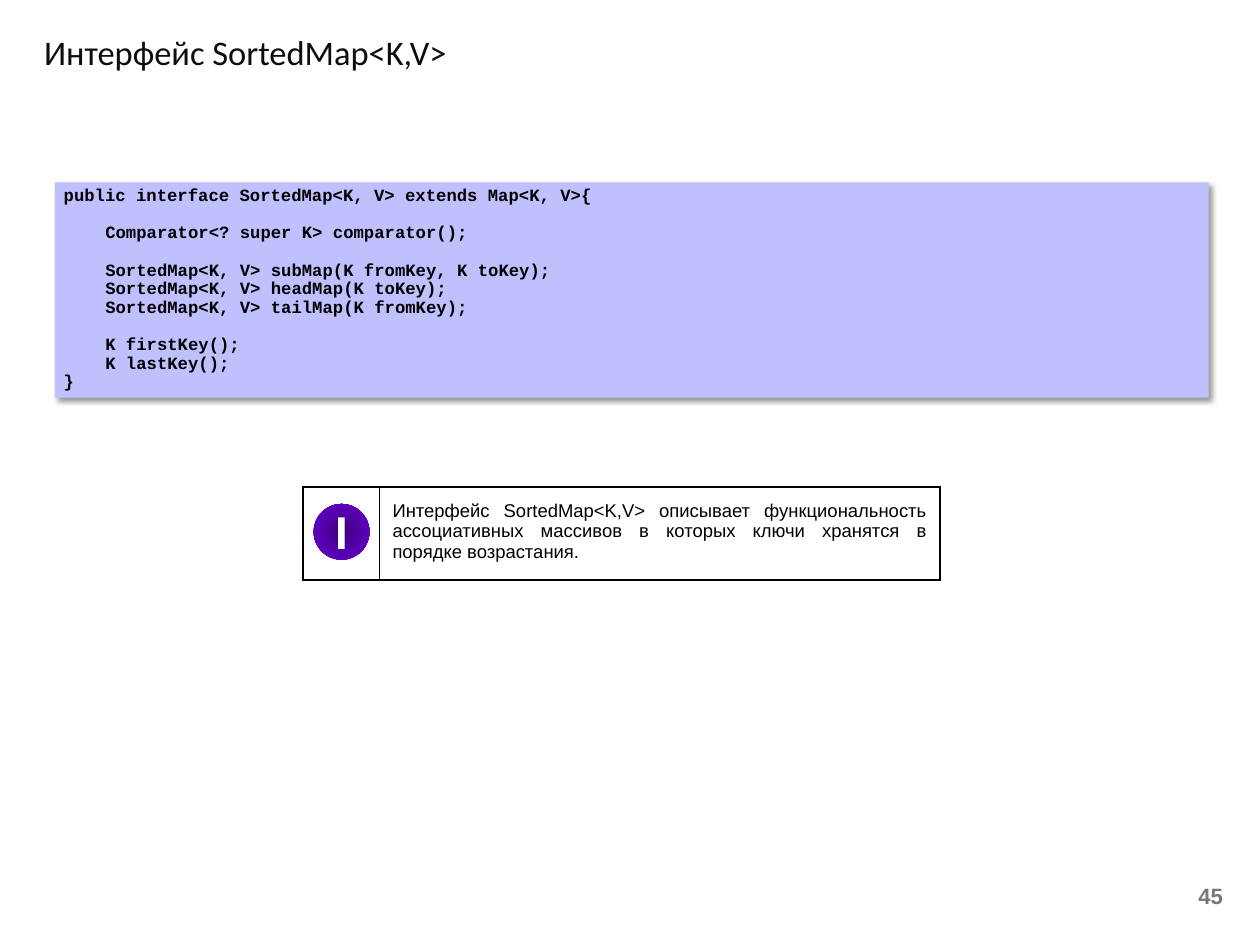
from dataclasses import dataclass, field
from typing import Any

from pptx import Presentation
from pptx.dml.color import RGBColor
from pptx.enum.shapes import MSO_SHAPE
from pptx.enum.text import MSO_ANCHOR, PP_ALIGN
from pptx.oxml import parse_xml
from pptx.oxml.ns import nsdecls
from pptx.util import Inches, Pt

BLACK, WHITE = "000000", "FFFFFF"
THICK, THIN = 2.25, 0.5


@dataclass(frozen=True)
class Line:
    text: str
    indent: float = 0
    before: float = 0


@dataclass(frozen=True)
class Style:
    font: str
    size: float
    color: str
    bold: bool = False
    para: dict[str, Any] = field(default_factory=dict)
    frame: dict[str, Any] = field(default_factory=dict)


@dataclass(frozen=True)
class Box:
    at: tuple[float, float, float, float]
    lines: list[Line]
    style: Style
    shape: MSO_SHAPE | None = None
    fill: str | None = None


STEP, GAP = 0.47, 15.1
CODE = [
    Line("public interface SortedMap<K, V> extends Map<K, V>{"),
    Line("Comparator<? super K> comparator();", STEP, GAP),
    Line("SortedMap<K, V> subMap(K fromKey, K toKey);", STEP, GAP),
    Line("SortedMap<K, V> headMap(K toKey);", STEP),
    Line("SortedMap<K, V> tailMap(K fromKey);", STEP),
    Line("K firstKey();", STEP, GAP),
    Line("K lastKey();", STEP),
    Line("}"),
]
NOTE = ("Интерфейс SortedMap<K,V> описывает функциональность ассоциативных "
        "массивов в которых ключи хранятся в порядке возрастания.")
MARGINS = ("margin_left", "margin_top", "margin_right", "margin_bottom")

TITLE = Box((0.4, 0.3, 11.03, 0.63), [Line("Интерфейс SortedMap<K,V>")],
            Style("Calibri", 28, "0D0D0D"))
NUMBER = Box((10.58, 9.85, 3.32, 0.53), [Line("45")],
             Style("Arial", 18, "777777", True, {"alignment": PP_ALIGN.RIGHT},
                   {"vertical_anchor": MSO_ANCHOR.MIDDLE}))
LISTING = Box((0.62, 2.06, 13.02, 2.43), CODE,
              Style("Courier New", 14, BLACK, True,
                    {"alignment": PP_ALIGN.LEFT, "line_spacing": 0.9},
                    {"vertical_anchor": MSO_ANCHOR.TOP}),
              MSO_SHAPE.RECTANGLE, "C0C0FF")
BADGE = Box((3.54, 5.69, 0.63, 0.63), [Line("I")],
            Style("Open Sans", 36, WHITE, True, {"alignment": PP_ALIGN.CENTER},
                  {"vertical_anchor": MSO_ANCHOR.MIDDLE} | dict.fromkeys(MARGINS, 0)),
            MSO_SHAPE.OVAL, "5600AC")
NOTE_STYLE = Style("Arial", 15, BLACK, para={"alignment": PP_ALIGN.JUSTIFY})


def rgb(color: str) -> RGBColor:
    return RGBColor.from_string(color)


def set_all(target: Any, values: dict[str, Any]) -> None:
    for name, value in values.items():
        setattr(target, name, value)


def write(tf: Any, lines: list[Line], style: Style) -> None:
    set_all(tf, {"word_wrap": True} | style.frame)
    for i, line in enumerate(lines):
        p = tf.add_paragraph() if i else tf.paragraphs[0]
        set_all(p, {"space_before": Pt(line.before)} | style.para)
        if line.indent:
            p._p.get_or_add_pPr().set("marL", str(Inches(line.indent)))
        r = p.add_run()
        r.text = line.text
        set_all(r.font, {"name": style.font, "size": Pt(style.size), "bold": style.bold})
        r.font.color.rgb = rgb(style.color)


def draw(s: Any, box: Box) -> Any:
    at = [Inches(v) for v in box.at]
    if box.shape is None:
        sp = s.shapes.add_textbox(*at)
    else:
        sp = s.shapes.add_shape(box.shape, *at)
        sp.shadow.inherit = False
        sp.fill.solid()
        sp.fill.fore_color.rgb = rgb(box.fill)
        sp.line.fill.background()
    write(sp.text_frame, box.lines, box.style)
    return sp


def add_shadow(sp: Any) -> None:
    sp._element.spPr.find("{*}effectLst").append(parse_xml(
        f'<a:outerShdw {nsdecls("a")} blurRad="{Pt(4)}" dist="{Pt(3)}" dir="2700000" '
        f'algn="tl" rotWithShape="0"><a:srgbClr val="{BLACK}"><a:alpha val="40000"/>'
        '</a:srgbClr></a:outerShdw>'))


def add_radial(sp: Any, stops: dict[int, str]) -> None:
    gs = "".join(f'<a:gs pos="{pos * 1000}"><a:srgbClr val="{color}"/></a:gs>'
                 for pos, color in stops.items())
    spPr = sp._element.spPr
    spPr.replace(spPr.find("{*}solidFill"), parse_xml(
        f'<a:gradFill {nsdecls("a")} rotWithShape="1"><a:gsLst>{gs}</a:gsLst>'
        '<a:path path="circle"><a:fillToRect l="50000" t="50000" r="50000" b="50000"/>'
        '</a:path></a:gradFill>'))


def format_cell(cell: Any, widths: dict[str, float]) -> None:
    cell.fill.solid()
    cell.fill.fore_color.rgb = rgb(WHITE)
    for i, (side, width) in enumerate(widths.items()):
        cell._tc.get_or_add_tcPr().insert(i, parse_xml(
            f'<a:ln{side} {nsdecls("a")} w="{Pt(width)}"><a:solidFill>'
            f'<a:srgbClr val="{BLACK}"/></a:solidFill></a:ln{side}>'))


def add_note(s: Any) -> None:
    at = [Inches(v) for v in (3.42, 5.5, 7.19, 1.05)]
    table = s.shapes.add_table(1, 2, *at).table
    set_all(table, {"first_row": False, "horz_banding": False})
    for column, width in zip(table.columns, (0.86, 6.33)):
        column.width = Inches(width)
    icon, note = table.cell(0, 0), table.cell(0, 1)
    format_cell(icon, {"L": THICK, "R": THIN, "T": THICK, "B": THICK})
    format_cell(note, {"L": THIN, "R": THICK, "T": THICK, "B": THICK})
    set_all(note, dict.fromkeys(MARGINS, Inches(0.15)))
    write(note.text_frame, [Line(NOTE)], NOTE_STYLE)


def main() -> None:
    prs = Presentation()
    set_all(prs, {"slide_width": Inches(14.22), "slide_height": Inches(10.67)})
    s = prs.slides.add_slide(prs.slide_layouts[6])
    draw(s, TITLE)
    draw(s, NUMBER)
    add_shadow(draw(s, LISTING))
    add_note(s)
    add_radial(draw(s, BADGE), {0: "3C0079", 50: "5600AC", 100: "6600CC"})
    prs.save("out.pptx")


if __name__ == "__main__":
    main()
